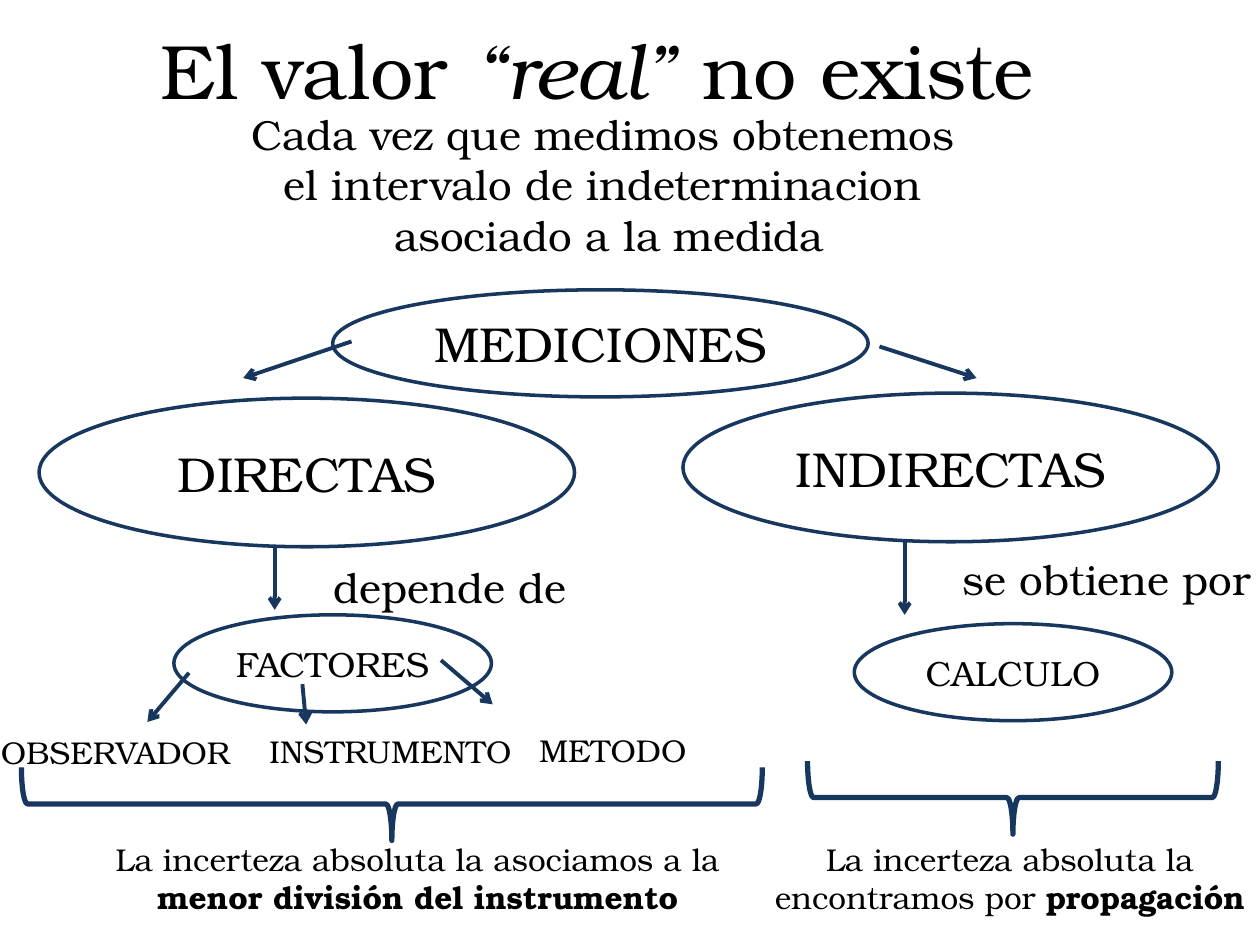
from lxml.etree import SubElement
from pptx import Presentation
from pptx.dml.color import RGBColor
from pptx.enum.shapes import MSO_CONNECTOR, MSO_SHAPE
from pptx.enum.text import MSO_ANCHOR, PP_ALIGN
from pptx.oxml.ns import qn
from pptx.util import Inches, Pt

FONT, BLACK, WHITE, NAVY = "TeX Gyre Bonum", "000000", "FFFFFF", "17375E"

TITLE = [[("El valor ", ""), ("“real” ", "italic"), ("no existe", "")]]
SUBTITLE = [
    [("Cada vez que medimos obtenemos ", "")],
    [("el intervalo de indeterminacion ", "")],
    [("asociado a la medida", "")],
]
ELLIPSES = [
    ("MEDICIONES", 2.64, 2.3, 4.25, 0.85, 28),
    ("DIRECTAS", 0.31, 3.16, 4.25, 1.18, 28),
    ("INDIRECTAS", 5.42, 3.12, 4.25, 1.18, 28),
    ("FACTORES", 1.38, 4.88, 2.52, 0.77, 20),
    ("CALCULO", 6.78, 4.95, 2.52, 0.77, 20),
]
ARROWS = [
    (2.79, 2.71, 1.93, 3),
    (2.18, 4.33, 2.18, 4.84),
    (6.98, 2.75, 7.75, 3),
    (7.18, 4.28, 7.18, 4.88),
    (2.4, 5.43, 2.43, 5.75),
    (3.5, 5.24, 3.91, 5.59),
    (1.5, 5.34, 1.17, 5.73),
]
LABELS = [
    ("se obtiene por", 7.54, 4.34, 2.6, 0.5, 24),
    ("depende de", 2.55, 4.41, 2.6, 0.5, 24),
    ("OBSERVADOR", -0.09, 5.77, 2.13, 0.4, 18),
    ("INSTRUMENTO", 2.04, 5.76, 2.13, 0.4, 18),
    ("METODO", 4.18, 5.75, 2.13, 0.4, 18),
]
BRACES = [(2.82, 3.44, 0.58, 5.88), (7.75, 4.7, 0.58, 3.26)]
CONCLUSIONS = [
    ((0.32, 6.62, 5.99, 0.71), [
        [("La incerteza absoluta la asociamos a la", "")],
        [("menor división del instrumento", "bold")],
    ]),
    ((5.89, 6.62, 4.25, 0.71), [
        [("La incerteza absoluta la", "")],
        [("encontramos por ", ""), ("propagación", "bold")],
    ]),
]


def color(value):
    return RGBColor.from_string(value)


def inches(values):
    return [Inches(value) for value in values]


def write(shape, paragraphs, size, align=PP_ALIGN.CENTER, anchor=MSO_ANCHOR.TOP):
    frame = shape.text_frame
    frame.word_wrap = True
    frame.vertical_anchor = anchor
    for index, spans in enumerate(paragraphs):
        para = frame.add_paragraph() if index else frame.paragraphs[0]
        para.alignment = align
        for text, style in spans:
            span = para.add_run()
            span.text = text
            span.font.name = FONT
            span.font.size = Pt(size)
            span.font.color.rgb = color(BLACK)
            span.font.bold = style == "bold"
            span.font.italic = style == "italic"


def add_outline(page, kind, place, width):
    shape = page.shapes.add_shape(kind, *inches(place))
    shape.shadow.inherit = False
    shape.line.color.rgb = color(NAVY)
    shape.line.width = Pt(width)
    return shape


def add_arrow(page, ends):
    arrow = page.shapes.add_connector(MSO_CONNECTOR.STRAIGHT, *inches(ends))
    arrow.line.color.rgb = color(NAVY)
    arrow.line.width = Pt(2.25)
    SubElement(arrow.line._get_or_add_ln(), qn("a:tailEnd"), type="arrow")
    SubElement(arrow._element.spPr, qn("a:effectLst"))


def main():
    deck = Presentation()
    deck.slide_width, deck.slide_height = inches((10, 7.5))
    page = deck.slides.add_slide(deck.slide_layouts[5])

    title = page.shapes.title
    title.left, title.top, title.width, title.height = inches((1.17, 0.13, 7.85, 0.84))
    write(title, TITLE, 44, align=PP_ALIGN.LEFT)
    write(page.shapes.add_textbox(*inches((1.17, 0.81, 7.33, 1.72))), SUBTITLE, 24)

    for text, *place, size in ELLIPSES:
        ellipse = add_outline(page, MSO_SHAPE.OVAL, place, 2)
        ellipse.fill.solid()
        ellipse.fill.fore_color.rgb = color(WHITE)
        write(ellipse, [[(text, "")]], size, anchor=MSO_ANCHOR.MIDDLE)
    for ends in ARROWS:
        add_arrow(page, ends)
    for text, *place, size in LABELS:
        box = page.shapes.add_textbox(*inches(place))
        write(box, [[(text, "")]], size, align=PP_ALIGN.LEFT)
    for place in BRACES:
        brace = add_outline(page, MSO_SHAPE.LEFT_BRACE, place, 3)
        brace.fill.background()
        brace.rotation = 270
    for place, paragraphs in CONCLUSIONS:
        write(page.shapes.add_textbox(*inches(place)), paragraphs, 18)

    deck.save("out.pptx")


if __name__ == "__main__":
    main()
